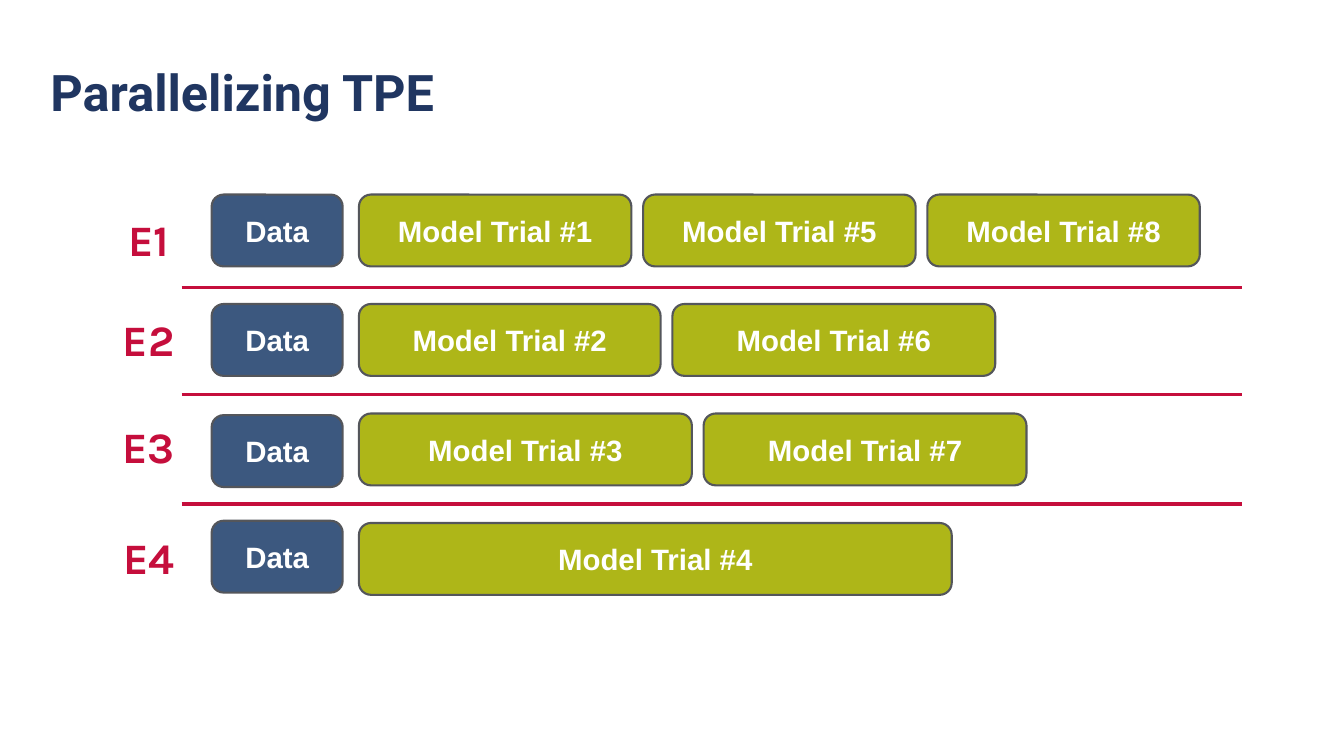
from pptx import Presentation
from pptx.dml.color import RGBColor
from pptx.enum.shapes import MSO_CONNECTOR as Connector, MSO_SHAPE as Shape
from pptx.enum.text import MSO_ANCHOR as Anchor, MSO_AUTO_SIZE as AutoSize, PP_ALIGN as Align
from pptx.oxml.ns import qn
from pptx.util import Pt
from lxml.etree import SubElement

COLORS = {
    "navy": "203661",
    "red": "C50E3C",
    "green": "AEB618",
    "blue": "3C587F",
    "outline": "54565B",
    "white": "FFFFFF",
}
LANES_TOP, LANE_PITCH = 139, 78.2
BAR_HEIGHT, BAR_GAP = 51.3, 8.4
LABEL_SIZE = 67
LANES = [
    {"name": "E1", "label_shift": 0.7, "data_shift": 0, "rule": 205.2,
     "trials": [(1, 194.6), (5, 194.6), (8, 194.6)]},
    {"name": "E2", "label_shift": -6.2, "data_shift": 0, "rule": 281.5,
     "trials": [(2, 215.5), (6, 230.6)]},
    {"name": "E3", "label_shift": -8.1, "data_shift": 1.2, "rule": 360,
     "trials": [(3, 237.8), (7, 230.6)]},
    {"name": "E4", "label_shift": -7.1, "data_shift": -1.6, "rule": None,
     "trials": [(4, 423.4)]},
]


def color(name):
    """Return the named palette colour."""
    return RGBColor.from_string(COLORS[name])


def write_text(shape, text, *, font, size, ink, align=Align.CENTER,
               spacing=1.0, inset=(9.36, 9.36)):
    """Fill a shape with one formatted bold paragraph."""
    frame = shape.text_frame
    frame.word_wrap = True
    frame.auto_size = AutoSize.NONE
    frame.vertical_anchor = Anchor.MIDDLE
    frame.margin_left = frame.margin_right = Pt(inset[0])
    frame.margin_top = frame.margin_bottom = Pt(inset[1])
    para = frame.paragraphs[0]
    para.alignment = align
    para.line_spacing = spacing
    span = para.add_run()
    span.text = text
    span.font.name = font
    span.font.size = Pt(size)
    span.font.bold = True
    span.font.color.rgb = color(ink)


def place_title(page, left, top, width, height):
    """Move the title placeholder into the given box."""
    title = page.shapes.title
    title.left, title.top = Pt(left), Pt(top)
    title.width, title.height = Pt(width), Pt(height)
    write_text(title, "Parallelizing TPE", font="Roboto", size=36, ink="navy",
               align=Align.LEFT, spacing=0.9, inset=(0, 3.6))


def add_rule(page, left, right, y):
    """Draw a red rule between two lanes."""
    rule = page.shapes.add_connector(
        Connector.STRAIGHT, Pt(left), Pt(y), Pt(right), Pt(y))
    rule.line.color.rgb = color("red")
    rule.line.width = Pt(2.25)
    SubElement(rule.element.spPr, qn("a:effectLst"))


def add_bar(page, text, fill, left, top, width):
    """Draw one rounded bar with its caption."""
    bar = page.shapes.add_shape(
        Shape.ROUNDED_RECTANGLE, Pt(left), Pt(top), Pt(width), Pt(BAR_HEIGHT))
    bar.shadow.inherit = False
    bar.fill.solid()
    bar.fill.fore_color.rgb = color(fill)
    bar.line.color.rgb = color("outline")
    bar.line.width = Pt(1.5)
    write_text(bar, text, font="Arial", size=21, ink="white")


def add_lane(page, lane, left, top, width):
    """Draw an executor's label, data bar, trial bars and closing rule."""
    label = page.shapes.add_textbox(
        Pt(left), Pt(top + lane["label_shift"]), Pt(LABEL_SIZE), Pt(LABEL_SIZE))
    write_text(label, lane["name"], font="Karla", size=31, ink="red", spacing=0.9)
    add_bar(page, "Data", "blue", left + 78.5, top + lane["data_shift"], 93.6)
    trial_left = left + 183.7
    for number, trial_width in lane["trials"]:
        add_bar(page, f"Model Trial #{number}", "green", trial_left, top, trial_width)
        trial_left += trial_width + BAR_GAP
    if lane["rule"]:
        add_rule(page, left + 57, left + width, lane["rule"])


def main():
    """Build the slide and save the deck."""
    deck = Presentation()
    deck.slide_width, deck.slide_height = Pt(960), Pt(540)
    page = deck.slides.add_slide(deck.slide_layouts[5])
    place_title(page, 36, 28.8, 886.3, 77.8)
    for index, lane in enumerate(LANES):
        add_lane(page, lane, 72.7, LANES_TOP + index * LANE_PITCH, 814.3)
    deck.save("out.pptx")


if __name__ == "__main__":
    main()
